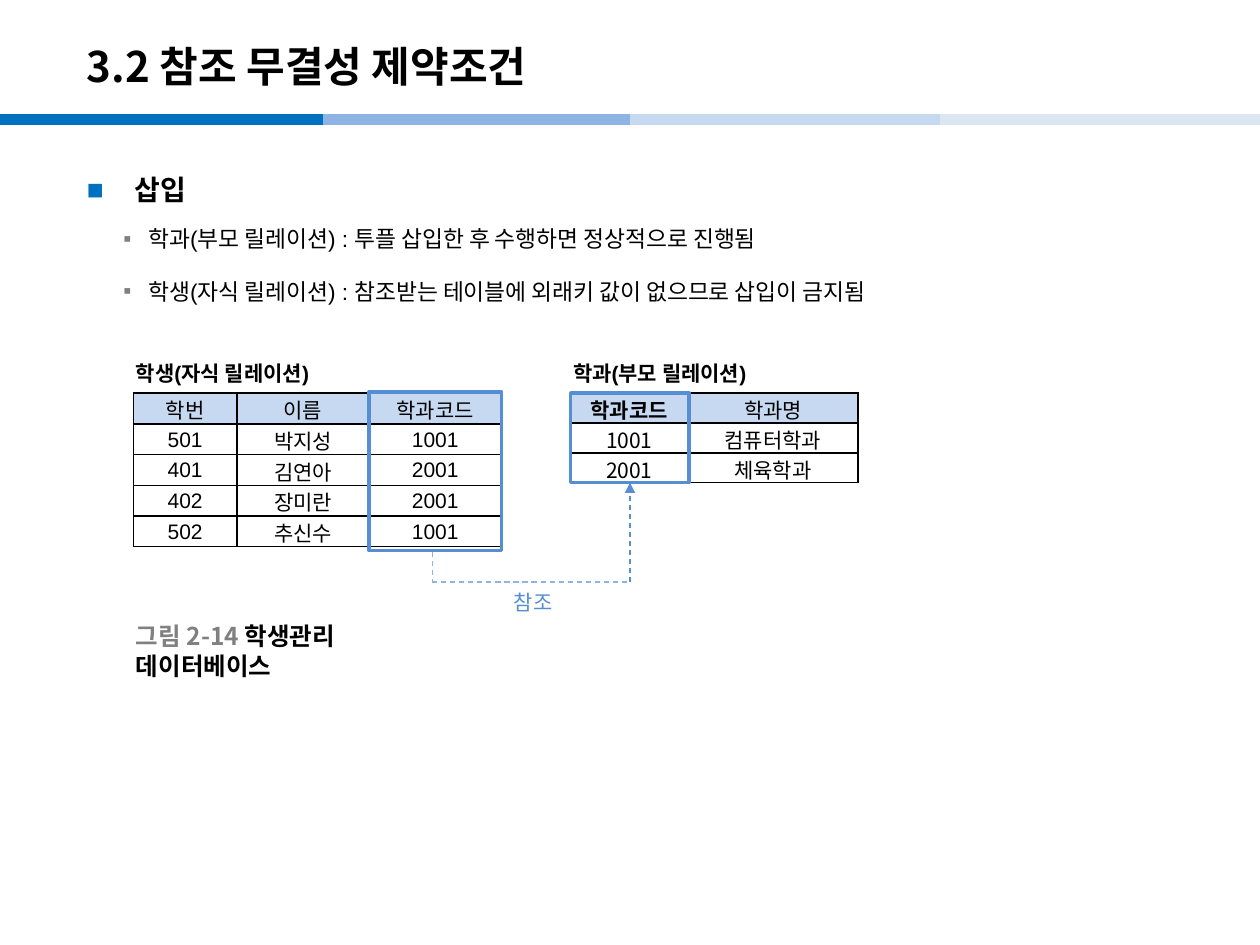
from dataclasses import dataclass

from lxml.etree import SubElement
from pptx import Presentation
from pptx.dml.color import RGBColor
from pptx.enum.dml import MSO_LINE_DASH_STYLE as DASH
from pptx.enum.shapes import MSO_CONNECTOR as CONN, MSO_SHAPE as SHAPE
from pptx.enum.text import MSO_ANCHOR as ANCHOR, MSO_AUTO_SIZE as AUTO, PP_ALIGN as ALIGN
from pptx.oxml.ns import qn
from pptx.util import Inches, Pt


@dataclass(frozen=True)
class Theme:
    black: str = "000000"
    white: str = "FFFFFF"
    gray: str = "808080"
    header: str = "C6D9F1"
    accent: str = "0070C0"
    outline: str = "558ED5"
    link: str = "8EB4E3"
    bands: tuple = ("0070C0", "8EB4E3", "C6D9F1", "DCE6F2")
    latin: str = "Arial"
    korean: str = "Noto Sans CJK KR"
    title: int = 24
    heading: int = 16
    caption: int = 14
    bullet: int = 13
    small: int = 12


T = Theme()


def rgb(color):
    return RGBColor.from_string(color)


def style(r, size, font=T.latin, color=T.black, bold=False):
    r.font.size, r.font.name, r.font.bold = Pt(size), font, bold
    r.font.color.rgb = rgb(color)
    SubElement(r.font._element, qn("a:ea"), typeface=T.korean)


def add_line(s, start, end, color, width, dash=None, arrow=False):
    line = s.shapes.add_connector(CONN.STRAIGHT, *map(Inches, start + end))
    line.line.color.rgb, line.line.width = rgb(color), Pt(width)
    if dash:
        line.line.dash_style = dash
    if arrow:
        SubElement(line.line._get_or_add_ln(), qn("a:tailEnd"), type="triangle")
    SubElement(line._element.spPr, qn("a:effectLst"))
    return line


def add_text(s, box, wrap=False):
    tf = s.shapes.add_textbox(*map(Inches, box)).text_frame
    tf.word_wrap = wrap
    return tf


def add_label(s, box, parts, size, font=T.latin, bold=True, wrap=False):
    tf = add_text(s, box, wrap)
    tf.auto_size = AUTO.SHAPE_TO_FIT_TEXT
    for text, color in parts:
        r = tf.paragraphs[0].add_run()
        r.text = text
        style(r, size, font, color, bold)
    return tf


def add_title(s, box, text):
    sp = s.shapes.title
    sp.left, sp.top, sp.width, sp.height = map(Inches, box)
    tf = sp.text_frame
    tf.text = text
    tf.vertical_anchor = ANCHOR.MIDDLE
    p = tf.paragraphs[0]
    p.alignment = ALIGN.LEFT
    style(p.runs[0], T.title, T.korean, bold=True)


def add_bands(s, y):
    for x, color in zip((0, 2.56, 5, 7.46), T.bands):
        add_line(s, (x, y), (x + 2.56, y), color, 6)


def add_bullet(p, char, color, margin, hanging):
    pPr = p._p.get_or_add_pPr()
    pPr.set("marL", str(Inches(margin)))
    pPr.set("indent", str(-Inches(hanging)))
    SubElement(SubElement(pPr, qn("a:buClr")), qn("a:srgbClr"), val=color)
    SubElement(pPr, qn("a:buFont"), typeface=T.latin)
    SubElement(pPr, qn("a:buChar"), char=char)


def add_body(s, box, heading, items):
    tf = add_text(s, box, True)
    for i, text in enumerate([heading] + items):
        p = tf.add_paragraph() if i else tf.paragraphs[0]
        p.text = text
        p.line_spacing = 1.5
        if i:
            p.level = 1
            p.space_before, p.space_after = Pt(2.6), Pt(4)
            add_bullet(p, "▪", T.gray, 0.49, 0.2)
            style(p.runs[0], T.bullet)
        else:
            add_bullet(p, "■", T.accent, 0.38, 0.38)
            style(p.runs[0], T.heading, bold=True)


def add_borders(cell):
    tcPr = cell._tc.get_or_add_tcPr()
    for i, side in enumerate(("lnL", "lnR", "lnT", "lnB")):
        ln = SubElement(tcPr, qn(f"a:{side}"), w=str(Pt(1)))
        SubElement(SubElement(ln, qn("a:solidFill")), qn("a:srgbClr"), val=T.black)


def add_relation(s, box, name, widths, rows, font, key=None):
    left, top, width, height = box
    add_label(s, (left - 0.08, top - 0.31, 1.73, 0.3), [(name, T.black)], T.small)
    table = s.shapes.add_table(len(rows), len(widths), *map(Inches, box)).table
    table.first_row = table.horz_banding = False
    for column, w in zip(table.columns, widths):
        column.width = Inches(w)
    for i, row in enumerate(rows):
        table.rows[i].height = Inches(height / len(rows))
        for j, text in enumerate(row):
            cell = table.cell(i, j)
            cell.text = text
            cell.vertical_anchor = ANCHOR.MIDDLE
            cell.margin_left = cell.margin_right = cell.margin_top = Inches(0.01)
            cell.margin_bottom = 0
            add_borders(cell)
            cell.fill.solid()
            cell.fill.fore_color.rgb = rgb(T.white if i else T.header)
            p = cell.text_frame.paragraphs[0]
            p.alignment = ALIGN.CENTER
            style(p.runs[0], T.small, font, bold=(i == 0 and text == key))


def add_highlight(s, box):
    sp = s.shapes.add_shape(SHAPE.RECTANGLE, *map(Inches, box))
    sp.shadow.inherit = False
    sp.fill.background()
    sp.line.color.rgb, sp.line.width = rgb(T.outline), Pt(2)
    return sp


def add_reference(s, child_box, parent_box, start, turn_y, text):
    add_highlight(s, child_box)
    parent = add_highlight(s, parent_box)
    x, y = start
    end_x = parent_box[0] + parent_box[2] / 2
    end_y = parent_box[1] + parent_box[3]
    add_line(s, start, (x, turn_y), T.link, 0.75, DASH.DASH)
    add_line(s, (x, turn_y), (end_x, turn_y), T.link, 0.75, DASH.DASH)
    arrow = add_line(s, (end_x, turn_y), (end_x, end_y), T.outline, 0.75, DASH.DASH, True)
    arrow.end_connect(parent, 2)
    add_label(s, (x + 0.55, turn_y + 0.01, 1.38, 0.3), [(text, T.outline)],
              T.small, T.korean, False, True)


def main():
    prs = Presentation()
    prs.slide_width, prs.slide_height = Inches(10), Inches(7.5)
    s = prs.slides.add_slide(prs.slide_layouts[5])
    add_bands(s, 0.95)
    add_title(s, (0.59, 0.22, 8.27, 0.6), "3.2 참조 무결성 제약조건")
    add_body(s, (0.59, 1.19, 8.82, 5.98), "삽입", [
        "학과(부모 릴레이션) : 투플 삽입한 후 수행하면 정상적으로 진행됨",
        "학생(자식 릴레이션) : 참조받는 테이블에 외래키 값이 없으므로 삽입이 금지됨",
    ])
    add_relation(s, (1.06, 3.12, 2.92, 1.22), "학생(자식 릴레이션)", (0.82, 1.05, 1.05), [
        ("학번", "이름", "학과코드"),
        ("501", "박지성", "1001"),
        ("401", "김연아", "2001"),
        ("402", "장미란", "2001"),
        ("502", "추신수", "1001"),
    ], T.latin)
    add_relation(s, (4.53, 3.12, 2.28, 0.71), "학과(부모 릴레이션)", (0.93, 1.35), [
        ("학과코드", "학과명"),
        ("1001", "컴퓨터학과"),
        ("2001", "체육학과"),
    ], T.korean, "학과코드")
    add_reference(s, (2.93, 3.11, 1.05, 1.26), (4.53, 3.12, 0.94, 0.71),
                  (3.43, 4.38), 4.62, "참조")
    caption = add_label(s, (0.98, 5.01, 2.05, 0.31),
                        [("그림 2-14 ", T.gray), ("학생관리 데이터베이스", T.black)],
                        T.caption, T.korean)
    caption.vertical_anchor = ANCHOR.MIDDLE
    prs.save("out.pptx")


if __name__ == "__main__":
    main()
